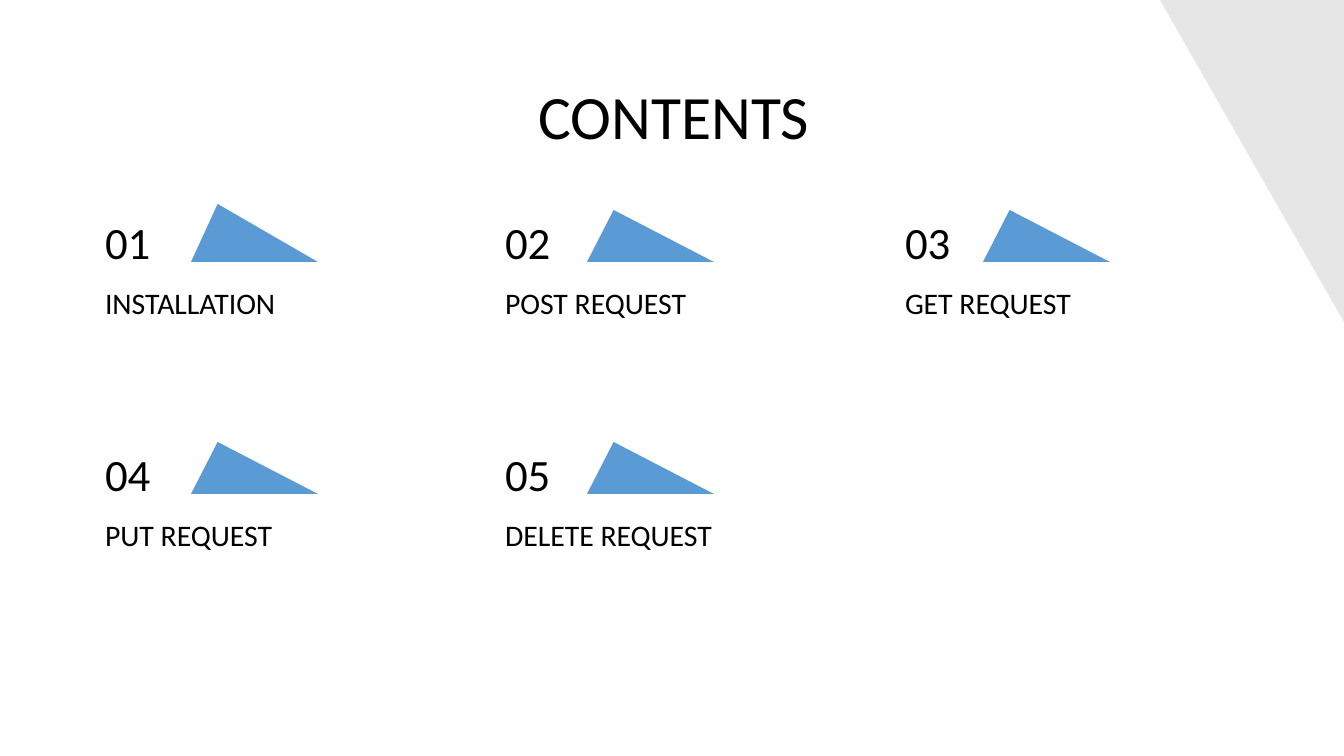
from typing import NamedTuple

from pptx import Presentation
from pptx.dml.color import RGBColor
from pptx.enum.shapes import MSO_SHAPE
from pptx.enum.text import MSO_ANCHOR, PP_ALIGN
from pptx.shapes.autoshape import Shape
from pptx.util import Emu, Pt

SCALE = 914400 / 100.8  # EMU in one px
COLORS = {"text": "000000", "blue": "5B9BD5", "corner": "E7E6E6"}
FONT = "Calibri"
INSET = 13
COLS = 3
LEFT, STEP = 92, 400  # text columns
PEAK_LEFT, PEAK_STEP = 191, 396  # triangle columns
ROW_STEP = 232


class Box(NamedTuple):
    left: int
    top: int
    width: int
    height: int


class Style(NamedTuple):
    size: float
    anchor: MSO_ANCHOR = MSO_ANCHOR.TOP
    align: PP_ALIGN = PP_ALIGN.LEFT
    spacing: float = 1.0


class Item(NamedTuple):
    label: str
    rise: int = 52  # triangle height


TITLE = Style(44, align=PP_ALIGN.CENTER, spacing=0.9)
NUMBER = Style(32, anchor=MSO_ANCHOR.MIDDLE, spacing=0.9)
LABEL = Style(21.3)

ITEMS = [
    Item("INSTALLATION", rise=58),
    Item("POST REQUEST"),
    Item("GET REQUEST"),
    Item("PUT REQUEST"),
    Item("DELETE REQUEST"),
]


def px(value: int) -> Emu:
    return Emu(round(value * SCALE))


def add_text(text: str, box: Box, style: Style) -> None:
    frame = slide.shapes.add_textbox(*map(px, box)).text_frame
    frame.word_wrap = True
    frame.vertical_anchor = style.anchor
    frame.margin_left = frame.margin_right = px(INSET)
    frame.margin_top = frame.margin_bottom = px(INSET)
    line = frame.paragraphs[0]
    line.text = text
    line.alignment = style.align
    line.line_spacing = style.spacing
    line.font.name = FONT
    line.font.size = Pt(style.size)
    line.font.color.rgb = RGBColor.from_string(COLORS["text"])


def add_form(kind: MSO_SHAPE, box: Box, color: str) -> Shape:
    form = slide.shapes.add_shape(kind, *map(px, box))
    form.shadow.inherit = False
    form.fill.solid()
    form.fill.fore_color.rgb = RGBColor.from_string(COLORS[color])
    form.line.fill.background()
    return form


def add_item(index: int, item: Item) -> None:
    row, col = divmod(index, COLS)
    left, drop = LEFT + col * STEP, row * ROW_STEP
    peak = Box(PEAK_LEFT + col * PEAK_STEP, 262 - item.rise + drop, 127, item.rise)
    add_form(MSO_SHAPE.ISOSCELES_TRIANGLE, peak, "blue").adjustments[0] = 0.21
    add_text(f"{index + 1:02}", Box(left, 219 + drop, 158, 52), NUMBER)
    add_text(item.label, Box(left, 272 + drop, 318, 52), LABEL)


# Blank slide
deck = Presentation()
deck.slide_width, deck.slide_height = px(1344), px(756)
slide = deck.slides.add_slide(deck.slide_layouts[6])

# Grey corner
corner = add_form(MSO_SHAPE.RIGHT_TRIANGLE, Box(1160, 0, 184, 322), "corner")
corner.rotation = 180

# Title and contents grid
add_text("CONTENTS", Box(79, 73, 1190, 85), TITLE)
for index, item in enumerate(ITEMS):
    add_item(index, item)

deck.save("out.pptx")
